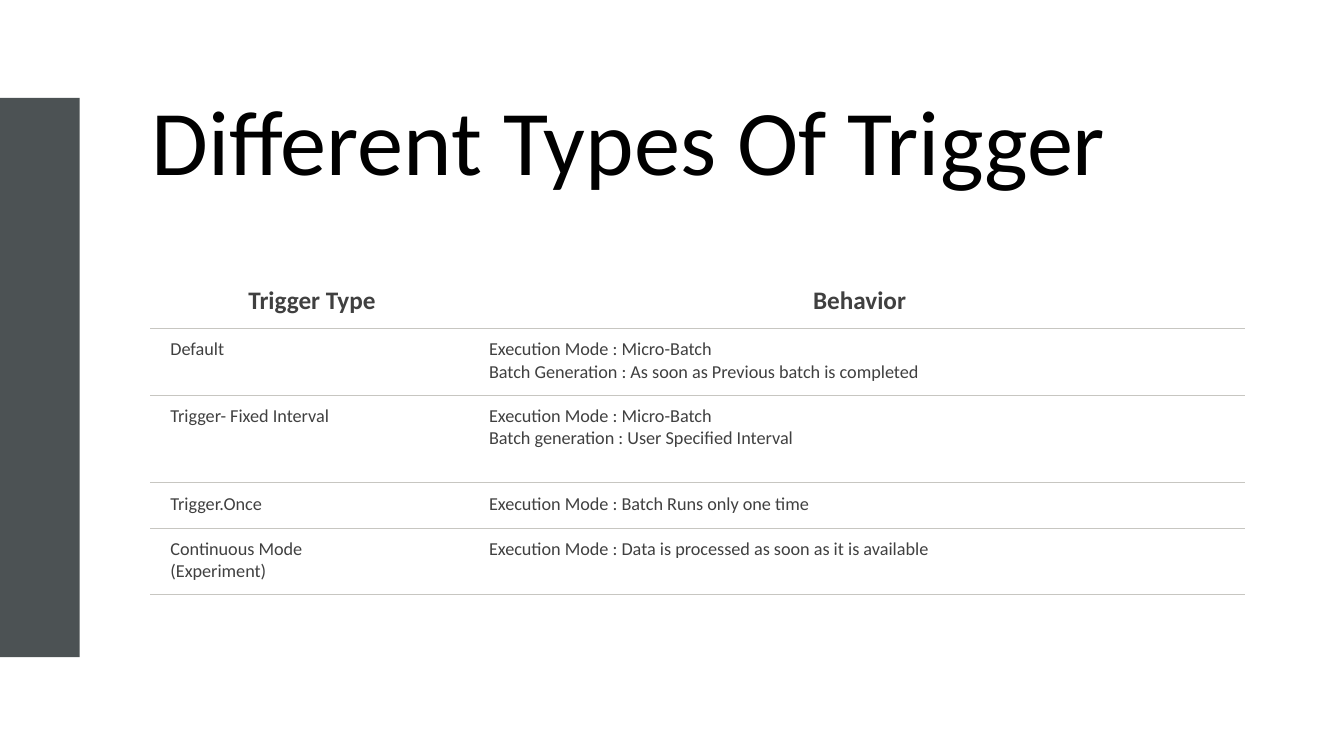
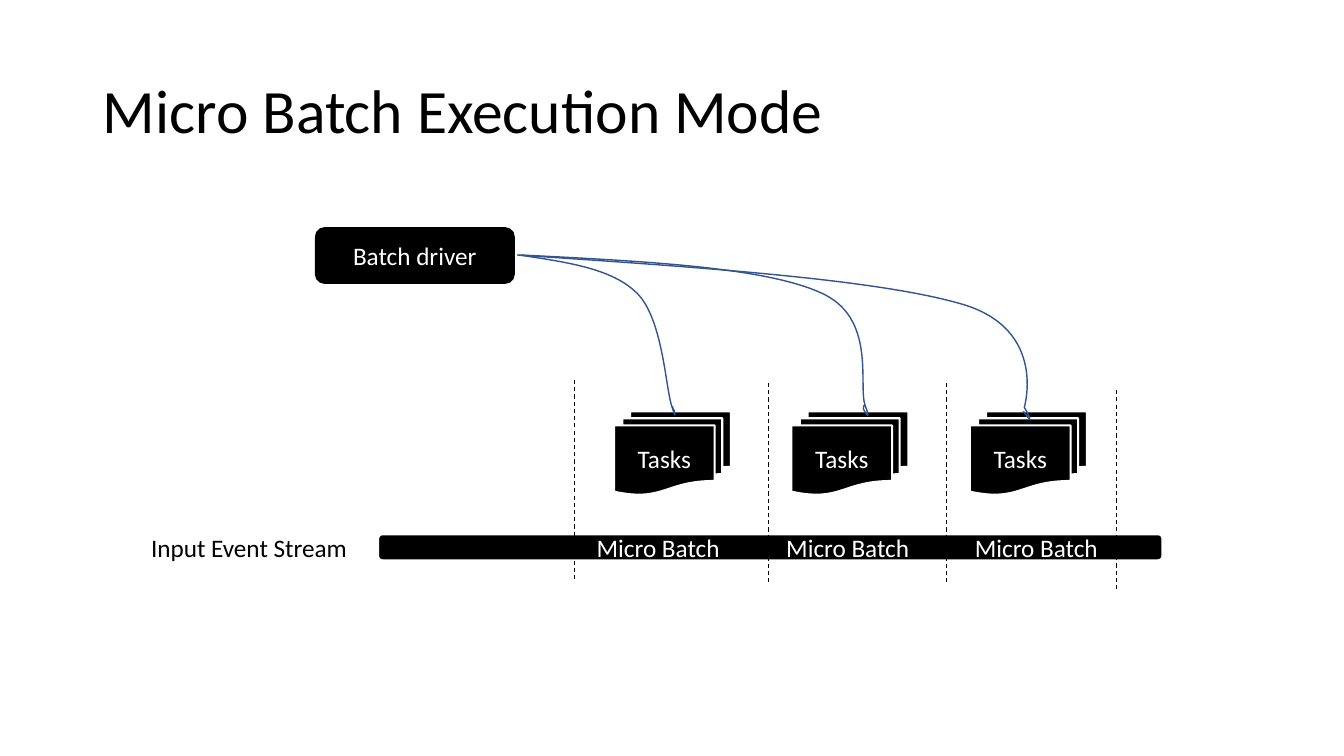
from lxml import etree
from pptx import Presentation
from pptx.dml.color import RGBColor
from pptx.enum.dml import MSO_LINE
from pptx.enum.shapes import MSO_CONNECTOR, MSO_SHAPE
from pptx.enum.text import MSO_ANCHOR, MSO_AUTO_SIZE, PP_ALIGN
from pptx.oxml.ns import qn
from pptx.util import Pt

PX = 9144
FONT = "Calibri"
COLORS = {
    name: RGBColor.from_string(value)
    for name, value in {
        "black": "000000",
        "white": "FFFFFF",
        "band": "4C5254",
        "text": "404040",
        "rule": "C7C6C1",
        "curve": "325491",
    }.items()
}
LEFT, CENTER = PP_ALIGN.LEFT, PP_ALIGN.CENTER
TOP, MIDDLE, BOTTOM = MSO_ANCHOR.TOP, MSO_ANCHOR.MIDDLE, MSO_ANCHOR.BOTTOM
RECT, ROUND_RECT = MSO_SHAPE.RECTANGLE, MSO_SHAPE.ROUNDED_RECTANGLE
DOCUMENTS = MSO_SHAPE.FLOWCHART_MULTIDOCUMENT
STRAIGHT, DASH = MSO_CONNECTOR.STRAIGHT, MSO_LINE.DASH
NO_GRID_STYLE = "{2D5ABB26-0587-4C30-8999-92F81FD0307C}"


def write(tf, text, size, color, align=LEFT, anchor=TOP, bold=False):
    tf.text = text
    tf.vertical_anchor = anchor
    for p in tf.paragraphs:
        p.alignment = align
        p.font.name = FONT
        p.font.size = Pt(size)
        p.font.bold = bold
        p.font.color.rgb = COLORS[color]


def add_block(slide, kind, box, fill, line=None, width=1, text=""):
    sp = slide.shapes.add_shape(kind, *[v * PX for v in box])
    sp.shadow.inherit = False
    sp.fill.solid()
    sp.fill.fore_color.rgb = COLORS[fill]
    if line:
        sp.line.color.rgb = COLORS[line]
        sp.line.width = Pt(width)
    else:
        sp.line.fill.background()
    if text:
        write(sp.text_frame, text, 18, "white", CENTER, MIDDLE)


prs = Presentation()
prs.slide_width, prs.slide_height = 1333 * PX, 750 * PX

slides = []
for text, size, anchor, box in [
    ("Different Types Of Trigger", 66, BOTTOM, (140, 62, 1052, 137)),
    ("Micro Batch Execution Mode", 44, MIDDLE, (92, 40, 1150, 145)),
]:
    slide = prs.slides.add_slide(prs.slide_layouts[5])
    title = slide.shapes.title
    title.left, title.top, title.width, title.height = [v * PX for v in box]
    write(title.text_frame, text, size, "black", LEFT, anchor)
    title.text_frame.auto_size = MSO_AUTO_SIZE.NONE
    title.text_frame.paragraphs[0].line_spacing = 0.9
    slides.append(slide)
triggers, micro_batch = slides

add_block(triggers, RECT, (0, 97, 79, 555), "band")

rows = [
    (53, "Trigger Type", "Behavior"),
    (66, "Default", "Execution Mode : Micro-Batch\nBatch Generation : As soon as Previous batch is completed"),
    (87, "Trigger- Fixed Interval", "Execution Mode : Micro-Batch\nBatch generation : User Specified Interval"),
    (45, "Trigger.Once", "Execution Mode : Batch Runs only one time"),
    (66, "Continuous Mode\n(Experiment)", "Execution Mode : Data is processed as soon as it is available"),
]
height = sum(row[0] for row in rows)
table = triggers.shapes.add_table(len(rows), 2, 149 * PX, 273 * PX, 1086 * PX, height * PX).table
table.horz_banding = False
table._tbl.tblPr.find(qn("a:tableStyleId")).text = NO_GRID_STYLE
for column, width in zip(table.columns, (316, 770)):
    column.width = width * PX
for i, (row_height, *texts) in enumerate(rows):
    table.rows[i].height = row_height * PX
    for cell, text in zip(table.rows[i].cells, texts):
        cell.margin_left, cell.margin_right = 20 * PX, 15 * PX
        cell.margin_top = cell.margin_bottom = 10 * PX
        if i == 0:
            write(cell.text_frame, text, 18, "text", CENTER, bold=True)
        else:
            write(cell.text_frame, text, 13, "text")
        cell.fill.background()
        rule = etree.Element(qn("a:lnB"), w=str(Pt(0.75)))
        fill = etree.SubElement(rule, qn("a:solidFill"))
        etree.SubElement(fill, qn("a:srgbClr"), val=str(COLORS["rule"]))
        cell._tc.get_or_add_tcPr().insert(0, rule)

add_block(micro_batch, ROUND_RECT, (313, 226, 197, 55), "black", "black", text="Batch driver")
for x in (609, 785, 962):
    add_block(micro_batch, DOCUMENTS, (x, 408, 116, 83), "black", "white", 1.5, "Tasks")
add_block(micro_batch, ROUND_RECT, (375, 530, 778, 26), "black", "white", 1.5)

curves = [
    [(515, 253), (561, 260), (607, 266), (632, 291), (657, 316), (660, 382), (666, 402),
     (672, 421), (668, 405), (669, 407), (669, 409), (669, 412), (669, 411),
     (669, 410), (668, 407), (667, 403)],
    [(517, 253), (637, 259), (757, 265), (813, 290), (870, 314), (851, 382), (858, 402),
     (865, 421), (857, 407), (857, 407), (856, 407), (856, 404), (857, 402)],
    [(513, 253), (692, 265), (871, 277), (955, 302), (1039, 327), (1016, 404), (1016, 404),
     (1026, 422), (1020, 415), (1015, 408)],
]
for start, *points in curves:
    builder = micro_batch.shapes.build_freeform(*start, scale=PX)
    builder.add_line_segments(points, close=False)
    sp = builder.convert_to_shape()
    sp.shadow.inherit = False
    sp.fill.background()
    sp.line.color.rgb = COLORS["curve"]
    sp.line.width = Pt(1)
    outline = sp._element.find(".//" + qn("a:path"))
    segments = outline.findall(qn("a:lnTo"))
    for i in range(0, len(segments), 3):
        bezier = etree.SubElement(outline, qn("a:cubicBezTo"))
        for segment in segments[i:i + 3]:
            bezier.append(segment[0])
            outline.remove(segment)

for x, y in [(570, 377), (762, 380), (939, 380), (1107, 387)]:
    divider = micro_batch.shapes.add_connector(STRAIGHT, x * PX, y * PX, x * PX, (y + 198) * PX)
    divider.line.color.rgb = COLORS["black"]
    divider.line.width = Pt(0.75)
    divider.line.dash_style = DASH
    etree.SubElement(divider._element.spPr, qn("a:effectLst"))

for x, width, text, color in [
    (140, 217, "Input Event Stream", "black"),
    (582, 147, "Micro Batch", "white"),
    (770, 147, "Micro Batch", "white"),
    (957, 147, "Micro Batch", "white"),
]:
    label = micro_batch.shapes.add_textbox(x * PX, 523 * PX, width * PX, 40 * PX)
    label.text_frame.word_wrap = True
    write(label.text_frame, text, 18, color)

prs.save("out.pptx")
